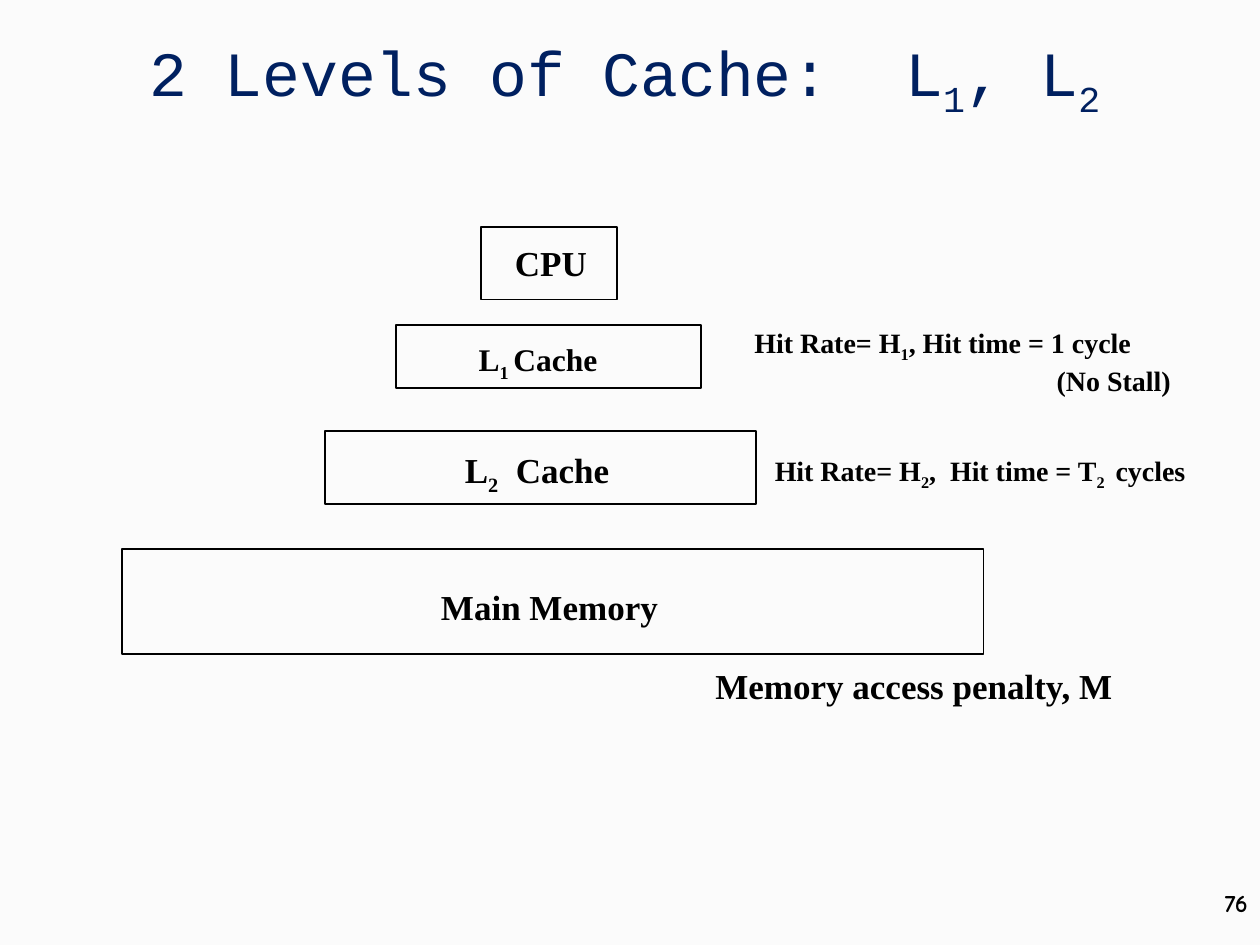
"""Build the slide on two levels of cache, from CPU to main memory."""
from pptx import Presentation
from pptx.dml.color import RGBColor
from pptx.enum import shapes, text
from pptx.util import Cm, Pt

COLOURS = {"paper": "FBFBFB", "title": "002060", "ink": "000000"}
SERIF = "Times New Roman"
LEFT, CENTRE, RIGHT = text.PP_ALIGN.LEFT, text.PP_ALIGN.CENTER, text.PP_ALIGN.RIGHT


def colour(name):
    """Return the named colour."""
    return RGBColor.from_string(COLOURS[name])


def add_text(page, place, lines, size, font=SERIF, ink="ink", bold=True, wrap=False):
    """Add a text box of (alignment, wording) lines; every second part between bars is a subscript."""
    box = page.shapes.add_textbox(*map(Cm, place))
    frame = box.text_frame
    frame.word_wrap = wrap
    for number, (alignment, wording) in enumerate(lines):
        para = frame.add_paragraph() if number else frame.paragraphs[0]
        para.alignment = alignment
        for index, part in enumerate(wording.split("|")):
            span = para.add_run()
            span.text = part
            span.font.name = font
            span.font.size = Pt(size)
            span.font.bold = bold
            span.font.color.rgb = colour(ink)
            if index % 2:
                span._r.get_or_add_rPr().set("baseline", "-25000")
    return box


deck = Presentation()
deck.slide_width, deck.slide_height = Cm(25.4), Cm(19.05)
page = deck.slides.add_slide(deck.slide_layouts[6])
page.background.fill.solid()
page.background.fill.fore_color.rgb = colour("paper")

add_text(page, (20.12, 17.78, 5.28, 1.27), [(RIGHT, "76")], 14, "Comic Neue", wrap=True)
title = add_text(page, (1.9, 0.64, 21.39, 1.8), [(CENTRE, "2 Levels of Cache:  L|1|, L|2")],
                 36, "Courier New", "title", False, True)
title.text_frame.vertical_anchor = text.MSO_ANCHOR.MIDDLE

memory_levels = [
    ((9.7, 4.57, 2.74, 1.47), (10.13, 4.75, 2.74, 1.09), "CPU", 20),
    ((7.98, 6.55, 6.15, 1.27), (9.4, 6.73, 3.02, 1.02), "L|1 |Cache", 18),
    ((6.55, 8.69, 8.69, 1.47), (9.12, 8.92, 3.48, 1.12), "L|2|  Cache", 20),
    ((2.46, 11.07, 17.37, 2.11), (8.64, 11.68, 4.88, 1.09), "Main Memory", 20),
]
for outline, label_place, label, size in memory_levels:
    level = page.shapes.add_shape(shapes.MSO_SHAPE.RECTANGLE, *map(Cm, outline))
    level.shadow.inherit = False
    level.fill.background()
    level.line.color.rgb = colour("ink")
    level.line.width = Pt(1)
    add_text(page, label_place, [(LEFT, label)], size, wrap=label == "CPU")

add_text(page, (14.96, 6.43, 8.89, 1.63),
         [(LEFT, "Hit Rate= H|1|, Hit time = 1 cycle"), (RIGHT, "(No Stall)")], 16, wrap=True)
add_text(page, (15.37, 9.02, 8.92, 0.94), [(LEFT, "Hit Rate= H|2|,  Hit time = T|2 | cycles")], 16)
add_text(page, (14.17, 13.28, 8.53, 1.09), [(LEFT, "Memory access penalty, M")], 20)

deck.save("out.pptx")
